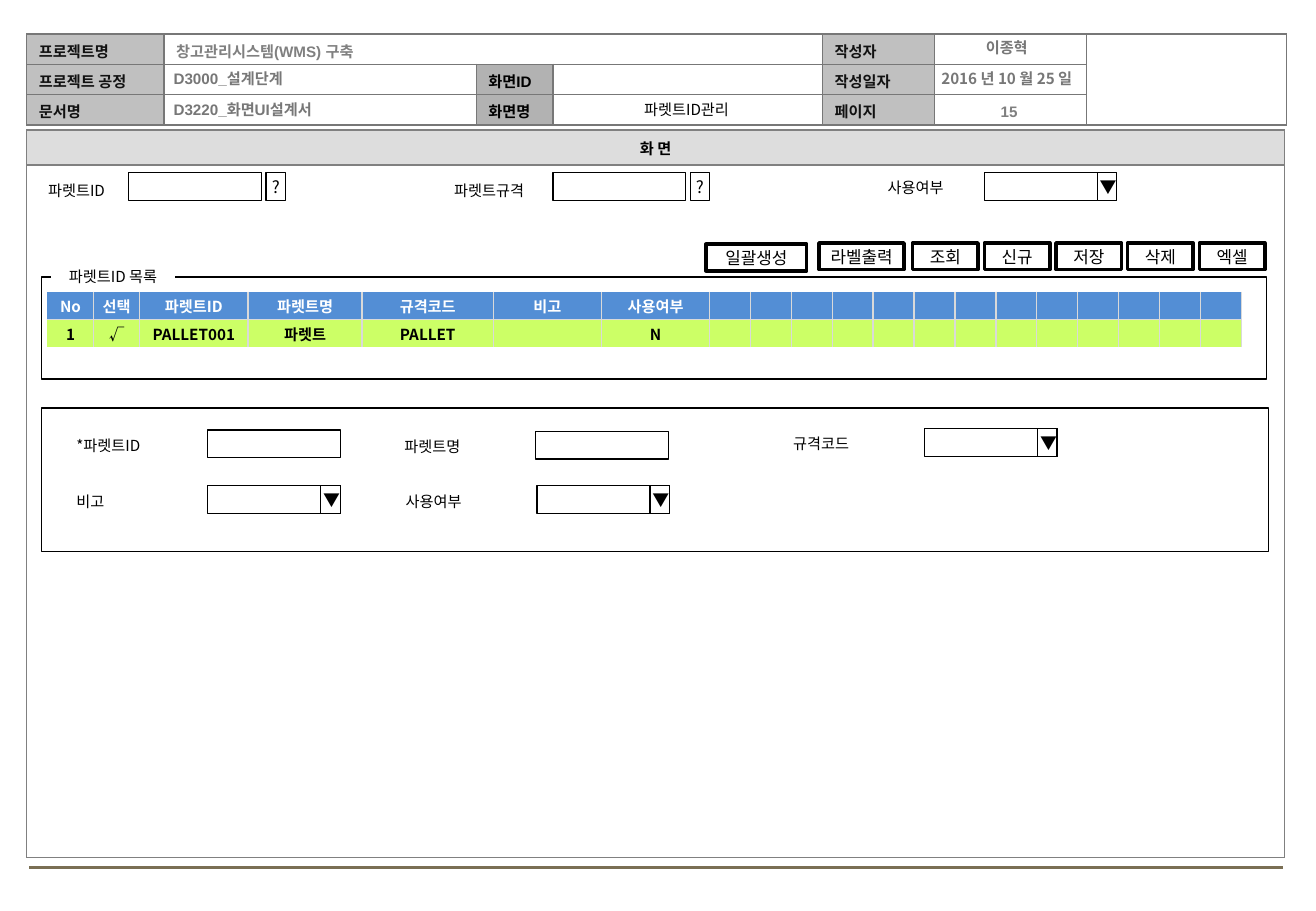
from dataclasses import dataclass

from lxml.etree import SubElement
from pptx import Presentation
from pptx.dml.color import RGBColor
from pptx.enum.shapes import MSO_CONNECTOR, MSO_SHAPE
from pptx.enum.text import MSO_ANCHOR, MSO_AUTO_SIZE, PP_ALIGN
from pptx.oxml.ns import qn
from pptx.util import Inches, Pt


@dataclass(frozen=True)
class Theme:
    latin: str = "Arial"
    korean: str = "Noto Sans CJK KR"
    body: float = 9
    button: float = 10
    thin: float = 0.75
    thick: float = 2
    black: str = "000000"
    white: str = "FFFFFF"
    ink: str = "111111"
    grey: str = "777777"
    page_grey: str = "7F7F7F"
    mid_grey: str = "808080"
    label_fill: str = "C0C0C0"
    screen_label_fill: str = "B2B2B2"
    screen_fill: str = "DDDDDD"
    grid_line: str = "D9D9D9"
    grid_head: str = "538ED5"
    grid_row: str = "CCFF66"
    footer: str = "7A6F54"


class Sheet:
    def __init__(self, slide, theme):
        self.s, self.t = slide, theme

    def set_text(self, tf, text, size=None, color=None, bold=False, font=None, align=PP_ALIGN.CENTER):
        p = tf.paragraphs[0]
        p.text, p.alignment = text, align
        size = size or self.t.body
        for r in p.runs:
            f = r.font
            f.size, f.bold, f.name = Pt(size), bold, font or self.t.korean
            f.color.rgb = RGBColor.from_string(color or self.t.black)
            SubElement(r._r.get_or_add_rPr(), qn("a:ea"), typeface=self.t.korean)
        if not text:
            SubElement(p._p, qn("a:endParaRPr"), sz=str(int(size * 100)))

    def label(self, text, x, y, w, **style):
        tf = self.s.shapes.add_textbox(Inches(x), Inches(y), Inches(w), Inches(0.25)).text_frame
        tf.word_wrap, tf.auto_size = True, MSO_AUTO_SIZE.SHAPE_TO_FIT_TEXT
        self.set_text(tf, text, **style)

    def box(self, x, y, w, h, fill=None, line=None):
        sp = self.s.shapes.add_shape(MSO_SHAPE.RECTANGLE, Inches(x), Inches(y), Inches(w), Inches(h))
        sp.shadow.inherit = False
        if fill:
            sp.fill.solid()
            sp.fill.fore_color.rgb = RGBColor.from_string(fill)
        else:
            sp.fill.background()
        if line:
            sp.line.color.rgb = RGBColor.from_string(self.t.black)
            sp.line.width = Pt(line)
        else:
            sp.line.fill.background()
        return sp

    def button(self, text, x, y, w, h=0.22, line=None, align=PP_ALIGN.CENTER):
        tf = self.box(x, y, w, h, self.t.white, line or self.t.thick).text_frame
        tf.word_wrap, tf.vertical_anchor = False, MSO_ANCHOR.MIDDLE
        tf.margin_left = tf.margin_right = Inches(0.02)
        tf.margin_top = tf.margin_bottom = Inches(0.04)
        self.set_text(tf, text, self.t.button, align=align)

    def field(self, x, y, mark="", fill=None):
        """Input box, with a lookup button (?) beside it or a drop-down arrow (▼) inside it."""
        self.box(x, y, 1.09, 0.23, fill, self.t.thin)
        if mark == "?":
            self.button(mark, x + 1.13, y, 0.16, 0.23, self.t.thin)
        elif mark:
            self.button(mark, x + 0.93, y, 0.16, 0.23, self.t.thin, PP_ALIGN.LEFT)

    def caption(self, text, x, y, w):
        tf = self.box(x, y, w, 0.25, self.t.white).text_frame
        tf.word_wrap, tf.auto_size = True, MSO_AUTO_SIZE.SHAPE_TO_FIT_TEXT
        tf.vertical_anchor = MSO_ANCHOR.TOP
        self.set_text(tf, text)

    def table(self, x, y, cols, rows):
        shape = self.s.shapes.add_table(len(rows), len(cols), Inches(x), Inches(y),
                                        Inches(sum(cols)), Inches(sum(rows)))
        tbl = shape.table
        tbl.first_row = tbl.horz_banding = False
        for col, w in zip(tbl.columns, cols):
            col.width = Inches(w)
        for row, h in zip(tbl.rows, rows):
            row.height = Inches(h)
        return tbl

    def cell(self, cell, text, line, sides="LRTB", fill=None, margins=(0.1, 0.03, 0.01), **style):
        """Fill, border and letter one cell; margins are side, top and bottom."""
        side, top, bottom = (Inches(m) for m in margins)
        cell.margin_left = cell.margin_right = side
        cell.margin_top, cell.margin_bottom = top, bottom
        cell.vertical_anchor = MSO_ANCHOR.MIDDLE
        tcPr = cell._tc.get_or_add_tcPr()
        for edge in "LRTB":
            shown = edge in sides
            ln = SubElement(tcPr, qn(f"a:ln{edge}"), w=str(Pt(1) if shown else 0))
            paint = SubElement(ln, qn("a:solidFill" if shown else "a:noFill"))
            if shown:
                SubElement(paint, qn("a:srgbClr"), val=line)
        if fill:
            cell.fill.solid()
            cell.fill.fore_color.rgb = RGBColor.from_string(fill)
        else:
            cell.fill.background()
        self.set_text(cell.text_frame, text, **style)

    def rule(self, x1, x2, y, color, width):
        c = self.s.shapes.add_connector(MSO_CONNECTOR.STRAIGHT, Inches(x1), Inches(y), Inches(x2), Inches(y))
        c.line.color.rgb, c.line.width = RGBColor.from_string(color), Pt(width)
        SubElement(c._element.spPr, qn("a:effectLst"))


def document_header(sheet):
    t = sheet.t
    tbl = sheet.table(0.22, 0.28, [1.13, 2.57, 0.63, 2.22, 0.92, 1.25, 1.65], [0.25] * 3)
    tbl.cell(0, 1).merge(tbl.cell(0, 3))
    tbl.cell(0, 6).merge(tbl.cell(2, 6))
    rows = [["프로젝트명", "창고관리시스템(WMS) 구축", "", "", "작성자", "", ""],
            ["프로젝트 공정", "", "화면ID", "", "작성일자", "", ""],
            ["문서명", "", "화면명", "", "페이지", "", ""]]
    looks = {0: (t.label_fill, t.ink), 2: (t.screen_label_fill, t.black), 4: (t.label_fill, t.ink)}
    for i, row in enumerate(rows):
        for j, text in enumerate(row):
            fill, color = looks.get(j, (None, t.mid_grey))
            sheet.cell(tbl.cell(i, j), text, t.grey, fill=fill, color=color, bold=True,
                       font=t.latin, align=PP_ALIGN.LEFT)
    for text, y in [("D3000_설계단계", 0.52), ("D3220_화면UI설계서", 0.78)]:
        sheet.label(text, 1.33, y, 5.42, color=t.grey, bold=True, font=t.latin, align=PP_ALIGN.LEFT)
    sheet.label("15", 7.68, 0.79, 1.25, color=t.page_grey, bold=True, font=t.latin)
    sheet.label("파렛트ID관리", 4.56, 0.78, 2.18)
    for text, y in [("2016 년 10 월 25 일", 0.52), ("이종혁", 0.27)]:
        sheet.label(text, 7.5, y, 1.57, color=t.grey, bold=True)


def screen_frame(sheet):
    t = sheet.t
    tbl = sheet.table(0.22, 1.07, [10.35], [0.29, 5.7])
    for i, (text, fill) in enumerate([("화 면", t.screen_fill), ("", None)]):
        sheet.cell(tbl.cell(i, 0), text, t.mid_grey, fill=fill, margins=(0.02, 0, 0),
                   bold=True, font=t.latin)


def pallet_list(sheet):
    t = sheet.t
    named = [0.38, 0.38, 0.89, 0.94, 1.08, 0.89, 0.89]
    spare = 13
    tbl = sheet.table(0.39, 2.4, named + [(9.83 - sum(named)) / spare] * spare, [0.23] * 2)
    rows = [(["No", "선택", "파렛트ID", "파렛트명", "규격코드", "비고", "사용여부"], t.grid_head, t.white, "LRB"),
            (["1", "√", "PALLET001", "파렛트", "PALLET", "", "N"], t.grid_row, t.black, "LRT")]
    for i, (texts, fill, color, sides) in enumerate(rows):
        for j, text in enumerate(texts + [""] * spare):
            sheet.cell(tbl.cell(i, j), text, t.grid_line, sides if j else sides[1:], fill,
                       (0.01, 0.01, 0), color=color, bold=True)
    sheet.box(0.34, 2.28, 10.08, 0.84, line=t.thin)
    sheet.caption("파렛트ID 목록", 0.42, 2.15, 1.02)


def search_bar(sheet):
    for text, x, y, w, field_x, mark in [("파렛트ID", 0.23, 1.44, 0.8, 1.06, "?"),
                                         ("파렛트규격", 3.5, 1.44, 1.05, 4.55, "?"),
                                         ("사용여부", 7.01, 1.42, 1.05, 8.1, "▼")]:
        sheet.label(text, x, y, w)
        sheet.field(field_x, 1.42, mark, sheet.t.white)
    sheet.button("일괄생성", 5.81, 2.01, 0.83)
    sheet.button("라벨출력", 6.74, 2, 0.7)
    for i, text in enumerate(["조회", "신규", "저장", "삭제", "엑셀"]):
        sheet.button(text, 7.51 + 0.59 * i, 2, 0.54)


def pallet_form(sheet):
    sheet.box(0.34, 3.36, 10.1, 1.18, line=sheet.t.thin)
    for text, x, y, mark in [("*파렛트ID", 0.53, 3.54, ""), ("파렛트명", 3.23, 3.55, ""),
                             ("규격코드", 6.43, 3.53, "▼"), ("비고", 0.53, 4, "▼"),
                             ("사용여부", 3.24, 4, "▼")]:
        sheet.label(text, x, y, 1.17, align=PP_ALIGN.LEFT)
        sheet.field(x + 1.18, y, mark)


def main():
    prs = Presentation()
    prs.slide_width, prs.slide_height = Inches(10.83), Inches(7.5)
    sheet = Sheet(prs.slides.add_slide(prs.slide_layouts[6]), Theme())
    sheet.rule(0.24, 10.56, 7.14, sheet.t.footer, 1.75)
    for draw in (document_header, screen_frame, pallet_list, search_bar, pallet_form):
        draw(sheet)
    prs.save("out.pptx")


if __name__ == "__main__":
    main()
